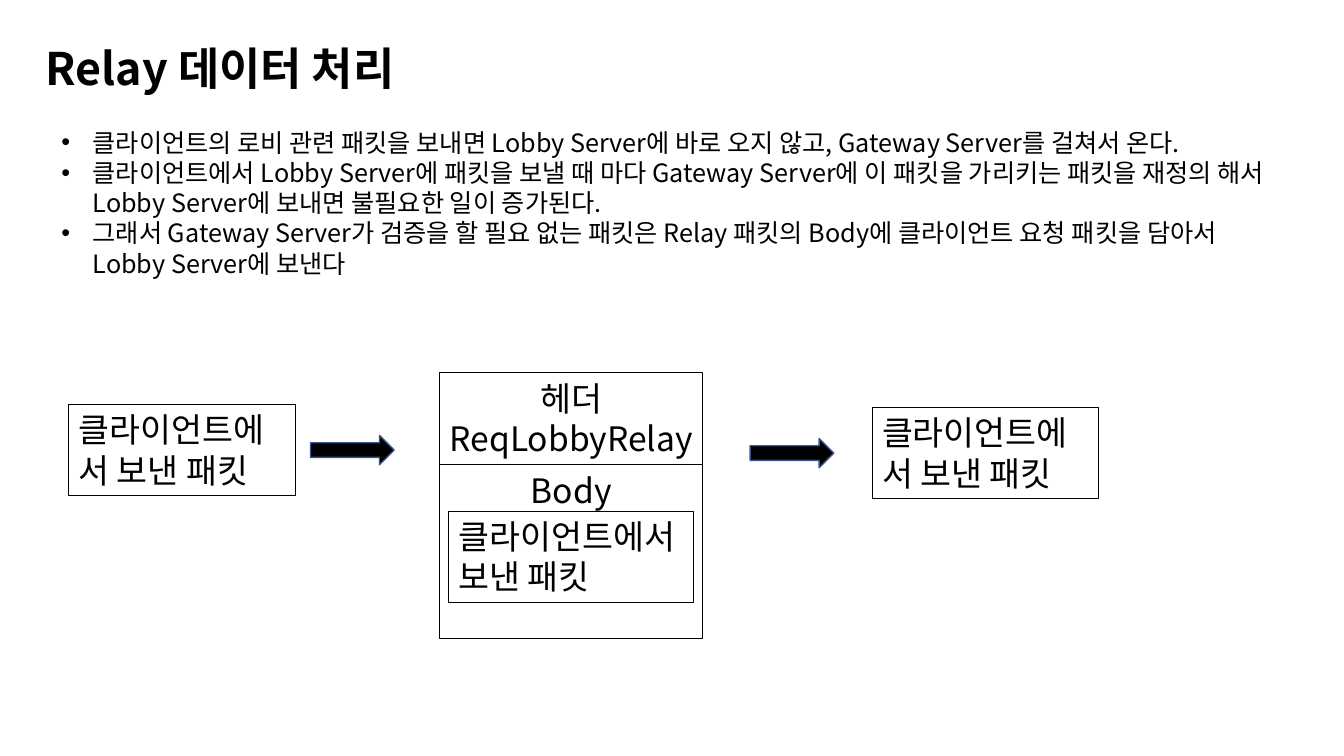
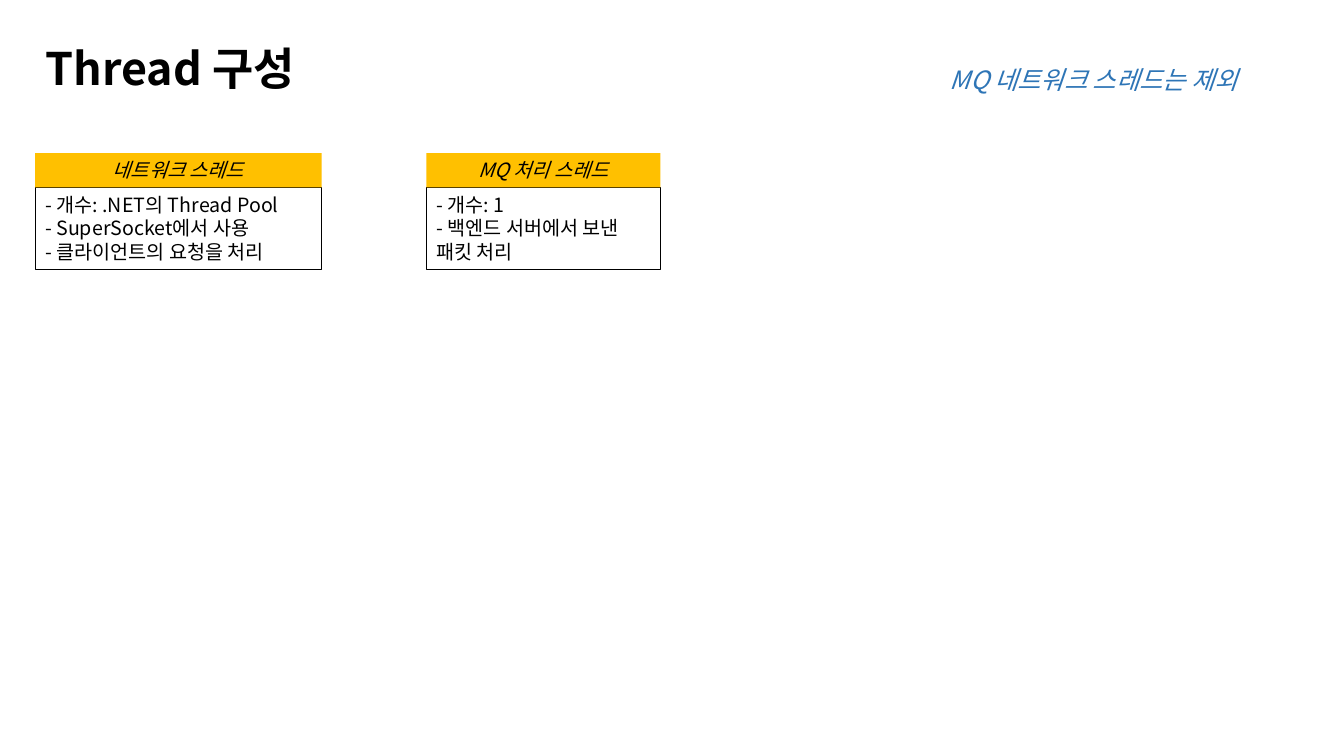
"""Build two slides on relay data handling and thread layout."""
from dataclasses import dataclass

from lxml import etree
from pptx import Presentation
from pptx.dml.color import RGBColor
from pptx.enum.shapes import MSO_SHAPE
from pptx.enum.text import MSO_ANCHOR, MSO_AUTO_SIZE, PP_ALIGN
from pptx.oxml.ns import qn
from pptx.shapes.autoshape import Shape
from pptx.shapes.shapetree import GroupShapes, SlideShapes
from pptx.slide import Slide
from pptx.text.text import TextFrame, _Paragraph
from pptx.util import Inches, Pt

RECTANGLE = MSO_SHAPE.RECTANGLE
RIGHT_ARROW = MSO_SHAPE.RIGHT_ARROW
TOP = MSO_ANCHOR.TOP
NO_AUTOFIT = MSO_AUTO_SIZE.NONE
LEFT, CENTER = PP_ALIGN.LEFT, PP_ALIGN.CENTER

FONT = "Noto Sans CJK KR"
BLACK = RGBColor(0x00, 0x00, 0x00)
ARROW_EDGE = RGBColor(0x32, 0x54, 0x91)
AMBER = RGBColor(0xFF, 0xC0, 0x00)
NOTE_BLUE = RGBColor(0x2E, 0x75, 0xB6)

TITLE_AND_CONTENT, TITLE_ONLY = 1, 5
BULLET_INDENT = Inches(0.31)
HEADING_TOP, HEADING_HEIGHT, DETAIL_HEIGHT = 1.52, 0.34, 0.81
CLIENT_PACKET = "클라이언트에서 보낸 패킷"

RELAY_POINTS = (
    "클라이언트의 로비 관련 패킷을 보내면 Lobby Server에 바로 오지 않고, Gateway Server를 걸쳐서 온다.",
    "클라이언트에서 Lobby Server에 패킷을 보낼 때 마다 Gateway Server에 이 패킷을 가리키는 패킷을 "
    "재정의 해서 Lobby Server에 보내면 불필요한 일이 증가된다.",
    "그래서 Gateway Server가 검증을 할 필요 없는 패킷은 Relay 패킷의 Body에 클라이언트 요청 패킷을 "
    "담아서 Lobby Server에 보낸다",
)


@dataclass(frozen=True)
class Area:
    """Position and size in inches."""

    left: float
    top: float
    width: float
    height: float


@dataclass(frozen=True)
class TextStyle:
    """Look of the text in one frame."""

    size: float
    color: RGBColor = BLACK
    bold: bool = False
    italic: bool = False
    align: PP_ALIGN = LEFT


@dataclass(frozen=True)
class Box:
    """Rectangle with text, either outlined or filled."""

    area: Area
    lines: tuple[str, ...]
    style: TextStyle
    fill: RGBColor | None = None


@dataclass(frozen=True)
class ThreadCard:
    """Heading and details of one thread."""

    left: float
    width: float
    heading: str
    details: tuple[str, ...]


TITLE_STYLE = TextStyle(32, bold=True)
BODY_STYLE = TextStyle(18)
NOTE_STYLE = TextStyle(18, NOTE_BLUE, italic=True)
PACKET_STYLE = TextStyle(24)
PART_STYLE = TextStyle(24, align=CENTER)
DETAIL_STYLE = TextStyle(14)
HEADING_STYLE = TextStyle(14, italic=True, align=CENTER)

END_PACKETS = tuple(
    Box(Area(left, top, 2.25, 0.91), (CLIENT_PACKET,), PACKET_STYLE)
    for left, top in ((0.68, 4.01), (8.65, 4.04))
)
RELAY_PACKET = (
    Box(Area(4.36, 3.7, 2.61, 0.91), ("헤더", "ReqLobbyRelay"), PART_STYLE),
    Box(Area(4.36, 4.61, 2.61, 1.72), ("Body",), PART_STYLE),
    Box(Area(4.45, 5.07, 2.43, 0.91), (CLIENT_PACKET,), PACKET_STYLE),
)
ARROWS = tuple(Area(left, top, 0.83, 0.29) for left, top in ((3.08, 4.32), (7.44, 4.35)))
THREADS = (
    ThreadCard(0.35, 2.84, "네트워크 스레드", (
        "- 개수: .NET의 Thread Pool",
        "- SuperSocket에서 사용",
        "- 클라이언트의 요청을 처리",
    )),
    ThreadCard(4.23, 2.32, "MQ 처리 스레드", (
        "- 개수: 1",
        "- 백엔드 서버에서 보낸 패킷 처리",
    )),
)


def lengths(area: Area) -> tuple[Inches, ...]:
    """Return the area as left, top, width and height."""
    return tuple(Inches(n) for n in (area.left, area.top, area.width, area.height))


def place(shape: Shape, area: Area) -> None:
    """Move and resize a placeholder."""
    shape.left, shape.top, shape.width, shape.height = lengths(area)


def add_bullet(paragraph: _Paragraph) -> None:
    """Give a paragraph a round bullet and a hanging indent."""
    properties = paragraph._p.get_or_add_pPr()
    properties.set("marL", str(BULLET_INDENT))
    properties.set("indent", str(-BULLET_INDENT))
    etree.SubElement(properties, qn("a:buFont")).set("typeface", "Arial")
    etree.SubElement(properties, qn("a:buChar")).set("char", "•")


def write(frame: TextFrame, lines: tuple[str, ...], style: TextStyle, bulleted: bool = False) -> None:
    """Fill a text frame with one paragraph per line."""
    frame.word_wrap = True
    frame.auto_size = NO_AUTOFIT
    frame.vertical_anchor = TOP
    for index, line in enumerate(lines):
        paragraph = frame.add_paragraph() if index else frame.paragraphs[0]
        if bulleted:
            add_bullet(paragraph)
        paragraph.alignment = style.align
        paragraph.space_before = Pt(0)
        run = paragraph.add_run()
        run.text = line
        font = run.font
        font.name, font.size = FONT, Pt(style.size)
        font.bold, font.italic = style.bold, style.italic
        font.color.rgb = style.color
        latin = font._element.find(qn("a:latin"))
        east_asian = etree.Element(qn("a:ea"))
        east_asian.set("typeface", FONT)
        latin.addnext(east_asian)


def add_titled_slide(deck: Presentation, layout: int, title: str, width: float) -> Slide:
    """Add a slide with the shared title style."""
    slide = deck.slides.add_slide(deck.slide_layouts[layout])
    heading = slide.shapes.title
    place(heading, Area(0.35, 0.35, width, 0.64))
    write(heading.text_frame, (title,), TITLE_STYLE)
    return slide


def draw_box(shapes: SlideShapes | GroupShapes, box: Box) -> None:
    """Draw a rectangle with its text."""
    shape = shapes.add_shape(RECTANGLE, *lengths(box.area))
    shape.shadow.inherit = False
    if box.fill is None:
        shape.fill.background()
        shape.line.color.rgb = BLACK
        shape.line.width = Pt(0.75)
    else:
        shape.fill.solid()
        shape.fill.fore_color.rgb = box.fill
        shape.line.fill.background()
    frame = shape.text_frame
    if box.style.align == CENTER:
        frame.margin_left = frame.margin_right = Inches(0.05)
    write(frame, box.lines, box.style)


def draw_arrow(shapes: SlideShapes, area: Area) -> None:
    """Draw a block arrow between two packets."""
    arrow = shapes.add_shape(RIGHT_ARROW, *lengths(area))
    arrow.shadow.inherit = False
    arrow.fill.solid()
    arrow.fill.fore_color.rgb = BLACK
    arrow.line.color.rgb = ARROW_EDGE
    arrow.line.width = Pt(1)


def draw_thread(shapes: SlideShapes, card: ThreadCard) -> None:
    """Draw a thread's details under its heading as a group."""
    group = shapes.add_group_shape().shapes
    heading = Area(card.left, HEADING_TOP, card.width, HEADING_HEIGHT)
    details = Area(card.left, HEADING_TOP + HEADING_HEIGHT, card.width, DETAIL_HEIGHT)
    draw_box(group, Box(details, card.details, DETAIL_STYLE))
    draw_box(group, Box(heading, (card.heading,), HEADING_STYLE, AMBER))


def build_relay_slide(deck: Presentation) -> None:
    """Show how a client packet travels inside a relay packet."""
    slide = add_titled_slide(deck, TITLE_AND_CONTENT, "Relay 데이터 처리", 4.09)
    points = slide.placeholders[1]
    place(points, Area(0.51, 1.21, 12.36, 1.62))
    write(points.text_frame, RELAY_POINTS, BODY_STYLE, bulleted=True)
    for packet in END_PACKETS:
        draw_box(slide.shapes, packet)
    relay = slide.shapes.add_group_shape().shapes
    for part in RELAY_PACKET:
        draw_box(relay, part)
    for arrow in ARROWS:
        draw_arrow(slide.shapes, arrow)


def build_thread_slide(deck: Presentation) -> None:
    """Show the threads and their duties."""
    slide = add_titled_slide(deck, TITLE_ONLY, "Thread 구성", 3.1)
    for card in THREADS:
        draw_thread(slide.shapes, card)
    note = slide.shapes.add_textbox(*lengths(Area(9.32, 0.59, 3.65, 0.4)))
    write(note.text_frame, ("MQ 네트워크 스레드는 제외",), NOTE_STYLE)


def main() -> None:
    """Build and save the deck."""
    deck = Presentation()
    deck.slide_width, deck.slide_height = Inches(13.33), Inches(7.5)
    build_relay_slide(deck)
    build_thread_slide(deck)
    deck.save("out.pptx")


if __name__ == "__main__":
    main()
